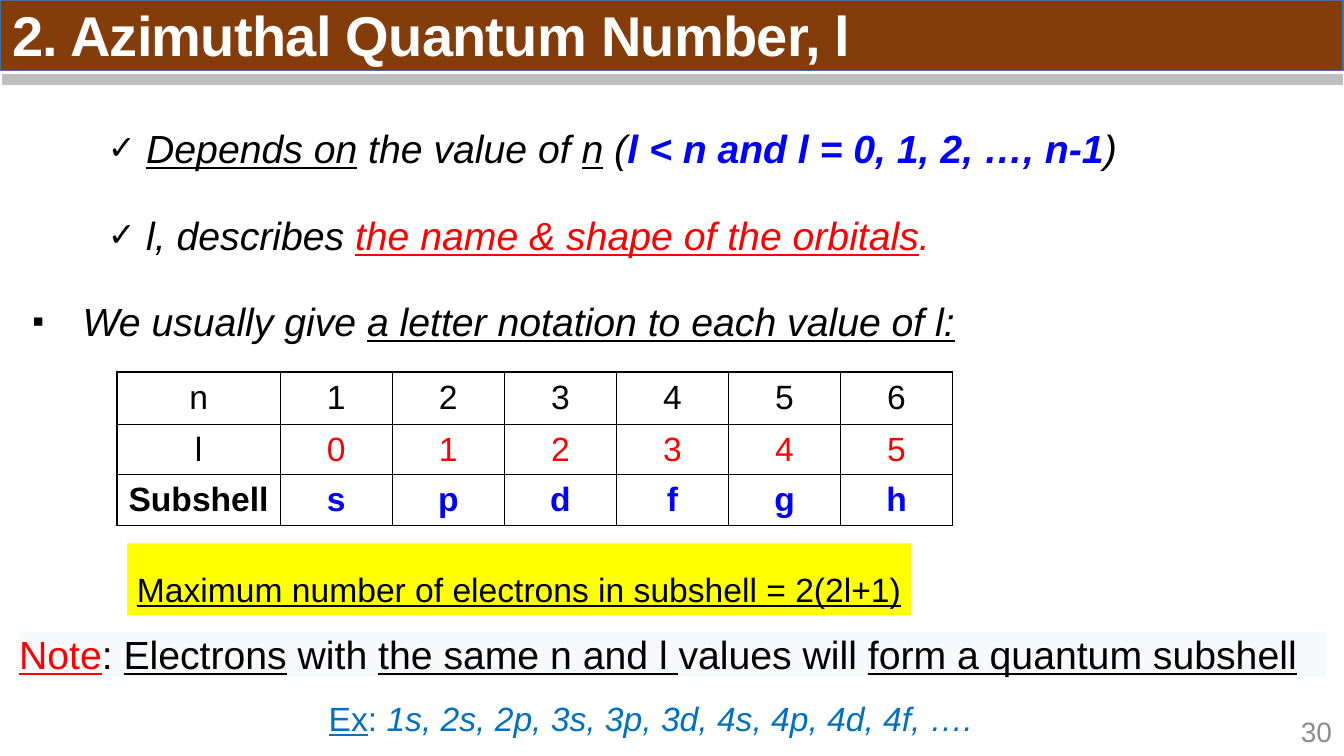
from lxml.etree import SubElement
from pptx import Presentation
from pptx.dml.color import RGBColor
from pptx.enum.shapes import MSO_CONNECTOR, MSO_SHAPE
from pptx.enum.text import MSO_ANCHOR, MSO_AUTO_SIZE, PP_ALIGN
from pptx.oxml.ns import qn
from pptx.util import Inches, Pt

FONT = "Arial"
BLACK = RGBColor(0x00, 0x00, 0x00)
WHITE = RGBColor(0xFF, 0xFF, 0xFF)
RED = RGBColor(0xFF, 0x00, 0x00)
BLUE = RGBColor(0x00, 0x00, 0xFF)
SKY = RGBColor(0x00, 0x70, 0xC0)
BROWN = RGBColor(0x84, 0x3C, 0x0B)
STEEL = RGBColor(0x43, 0x73, 0x9E)
SILVER = RGBColor(0xBF, 0xBF, 0xBF)
GREY = RGBColor(0x8C, 0x8C, 0x8C)
PALE = RGBColor(0xF8, 0xF9, 0xFA)
YELLOW = RGBColor(0xFF, 0xFF, 0x00)

CHECKS = [
    [("Depends on", {"underline": True}), (" the value of ", {}),
     ("n", {"underline": True}), (" (", {}),
     ("l < n and l = 0, 1, 2, …, n-1", {"color": BLUE, "bold": True}), (")", {})],
    [("l, describes ", {}),
     ("the name & shape of the orbitals", {"color": RED, "underline": True}),
     (".", {"color": RED})],
]
NOTATION = [[("We usually give ", {}),
             ("a letter notation to each value of l:", {"underline": True})]]
SUBSHELLS = [["n", *"123456"], ["l", *"012345"], ["Subshell", *"spdfgh"]]
MAXIMUM = [("Maximum number of electrons in subshell = 2(2l+1)", {"underline": True})]
NOTE = [("Note", {"color": RED, "underline": True}), (": ", {}),
        ("Electrons", {"underline": True}), (" with ", {}),
        ("the same n and l ", {"underline": True}), ("values will ", {}),
        ("form a quantum subshell", {"underline": True})]
EXAMPLE = [("Ex", {"underline": True}), (": ", {}),
           ("1s, 2s, 2p, 3s, 3p, 3d, 4s, 4p, 4d, 4f, ….", {"italic": True})]


def style(font, size, color=BLACK, bold=False, italic=False, underline=False):
    """Format one font."""
    font.name, font.size = FONT, Pt(size)
    font.bold, font.italic, font.underline = bold, italic, underline
    font.color.rgb = color


def add_runs(paragraph, runs, size, **base):
    """Append formatted runs to a paragraph."""
    for text, changes in runs:
        run = paragraph.add_run()
        run.text = text
        style(run.font, size, **{**base, **changes})


def place(shape, box):
    """Move a shape into a box given in inches."""
    shape.left, shape.top, shape.width, shape.height = map(Inches, box)


def add_rectangle(slide, box, fill):
    """Add a plain filled rectangle without outline."""
    rectangle = slide.shapes.add_shape(MSO_SHAPE.RECTANGLE, *map(Inches, box))
    rectangle.shadow.inherit = False
    rectangle.fill.solid()
    rectangle.fill.fore_color.rgb = fill
    rectangle.line.fill.background()
    return rectangle


def build_header(slide, box):
    """Draw the title bar, its title and the rule below it."""
    left, top, width, height = box
    bar = add_rectangle(slide, box, BROWN)
    bar.line.color.rgb = STEEL
    bar.line.width = Pt(1)
    title = slide.shapes.title
    bar.element.addnext(title.element)
    place(title, (left + 0.02, top + 0.06, width - 0.35, height - 0.06))
    frame = title.text_frame
    frame.text = "2. Azimuthal Quantum Number, l"
    frame.auto_size = MSO_AUTO_SIZE.NONE
    frame.vertical_anchor = MSO_ANCHOR.TOP
    paragraph = frame.paragraphs[0]
    paragraph.alignment = PP_ALIGN.LEFT
    paragraph.line_spacing = 0.85
    run = paragraph.runs[0]
    style(run.font, 40, WHITE, bold=True)
    run.font._element.set("spc", "-50")
    rule_top = Inches(top + height + 0.09)
    rule = slide.shapes.add_connector(MSO_CONNECTOR.STRAIGHT, Inches(left + 0.02),
                                      rule_top, Inches(left + width), rule_top)
    rule.line.color.rgb = SILVER
    rule.line.width = Pt(8)
    SubElement(rule.element.spPr, qn("a:effectLst"))


def set_bullet(paragraph, character, margin, indent):
    """Give a paragraph a black bullet and a hanging indent."""
    properties = paragraph._p.get_or_add_pPr()
    properties.set("marL", str(Inches(margin)))
    properties.set("indent", str(Inches(indent)))
    color = SubElement(properties, qn("a:buClr"))
    SubElement(color, qn("a:srgbClr"), val=str(BLACK))
    SubElement(properties, qn("a:buSzPct"), val="85000")
    SubElement(properties, qn("a:buFont"), typeface=FONT)
    SubElement(properties, qn("a:buChar"), char=character)


def build_list(placeholder, box, items, character, margin, indent):
    """Fill a body placeholder with italic bulleted lines."""
    place(placeholder, box)
    frame = placeholder.text_frame
    frame.auto_size = MSO_AUTO_SIZE.NONE
    frame.vertical_anchor = MSO_ANCHOR.TOP
    for index, runs in enumerate(items):
        paragraph = frame.add_paragraph() if index else frame.paragraphs[0]
        set_bullet(paragraph, character, margin, indent)
        paragraph.alignment = PP_ALIGN.JUSTIFY
        paragraph.line_spacing = 1.5
        paragraph.space_before, paragraph.space_after = Pt(0), Pt(12)
        add_runs(paragraph, runs, 28, italic=True)


def set_borders(cell, widths):
    """Draw black borders around a table cell."""
    properties = cell._tc.get_or_add_tcPr()
    for index, (side, width) in enumerate(widths.items()):
        line = properties.makeelement(qn(f"a:{side}"), {"w": str(Pt(width))})
        fill = SubElement(line, qn("a:solidFill"))
        SubElement(fill, qn("a:srgbClr"), val=str(BLACK))
        properties.insert(index, line)


def build_table(slide, box):
    """Tabulate n, l and the subshell letters."""
    left, top, width, height = box
    count = len(SUBSHELLS[0])
    table = slide.shapes.add_table(len(SUBSHELLS), count, *map(Inches, box)).table
    table.first_row = table.horz_banding = False
    first_width = 1.62
    for index, column in enumerate(table.columns):
        column.width = Inches((width - first_width) / (count - 1) if index else first_width)
    for index, row in enumerate(table.rows):
        row.height = Inches(0.5 if index else height - 1)
    for r, (values, value_color) in enumerate(zip(SUBSHELLS, (BLACK, RED, BLUE))):
        for c, value in enumerate(values):
            cell = table.cell(r, c)
            cell.text = value
            cell.fill.background()
            cell.vertical_anchor = MSO_ANCHOR.MIDDLE
            paragraph = cell.text_frame.paragraphs[0]
            paragraph.alignment = PP_ALIGN.CENTER
            style(paragraph.runs[0].font, 24, value_color if c else BLACK, bold=r == 2)
            set_borders(cell, {"lnL": 1 if c else 2.25, "lnR": 1,
                               "lnT": 1 if r else 2.25, "lnB": 1})


def build_callout(slide, box, fill, runs, size, color=BLACK, tight=True):
    """Place one left-aligned line of text on a filled rectangle."""
    frame = add_rectangle(slide, box, fill).text_frame
    frame.word_wrap = True
    frame.vertical_anchor = MSO_ANCHOR.MIDDLE
    paragraph = frame.paragraphs[0]
    paragraph.alignment = PP_ALIGN.LEFT
    if tight:
        frame.margin_left = frame.margin_right = 0
        frame.margin_top = frame.margin_bottom = 0
    else:
        paragraph.line_spacing = 1.5
    add_runs(paragraph, runs, size, color=color)


def build_page_number(slide, box):
    """Write the page number in the corner."""
    frame = slide.shapes.add_textbox(*map(Inches, box)).text_frame
    frame.word_wrap = True
    frame.vertical_anchor = MSO_ANCHOR.MIDDLE
    frame.text = "30"
    frame.paragraphs[0].alignment = PP_ALIGN.RIGHT
    style(frame.paragraphs[0].runs[0].font, 20, GREY)


def main():
    """Build the slide and save it."""
    presentation = Presentation()
    presentation.slide_width, presentation.slide_height = Inches(13.33), Inches(7.5)
    slide = presentation.slides.add_slide(presentation.slide_layouts[3])
    build_page_number(slide, (12.76, 7.06, 0.55, 0.4))
    build_header(slide, (0, 0, 13.32, 0.7))
    build_list(slide.placeholders[1], (0.59, 0.95, 11.48, 1.68), CHECKS, "✓", 0.76, -0.38)
    build_list(slide.placeholders[2], (-0.16, 2.67, 10.62, 0.81), NOTATION, "▪", 0.88, -0.5)
    build_table(slide, (1.16, 3.69, 8.29, 1.52))
    build_callout(slide, (0.19, 6.27, 12.96, 0.44), PALE, NOTE, 28)
    build_callout(slide, (3.26, 6.93, 6.48, 0.38), WHITE, EXAMPLE, 24, SKY)
    build_callout(slide, (1.26, 5.39, 7.78, 0.71), YELLOW, MAXIMUM, 24, tight=False)
    presentation.save("out.pptx")


if __name__ == "__main__":
    main()
